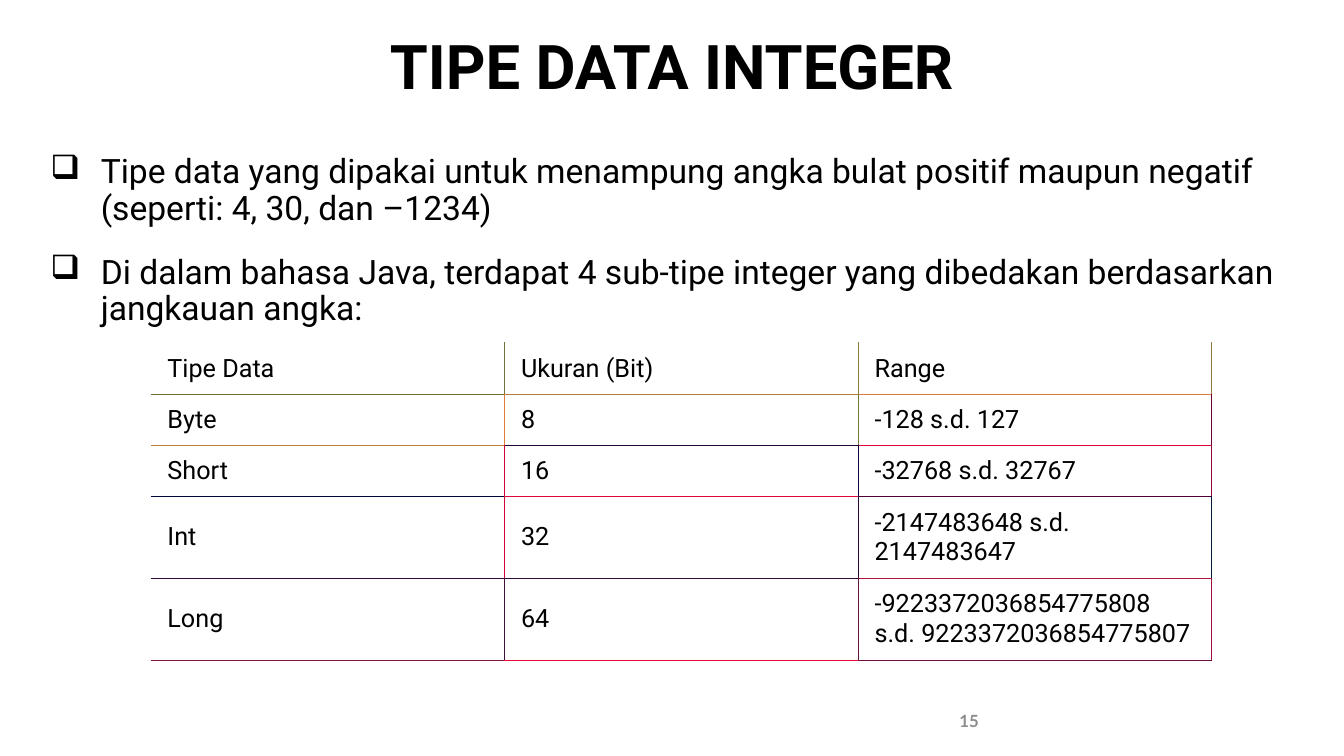
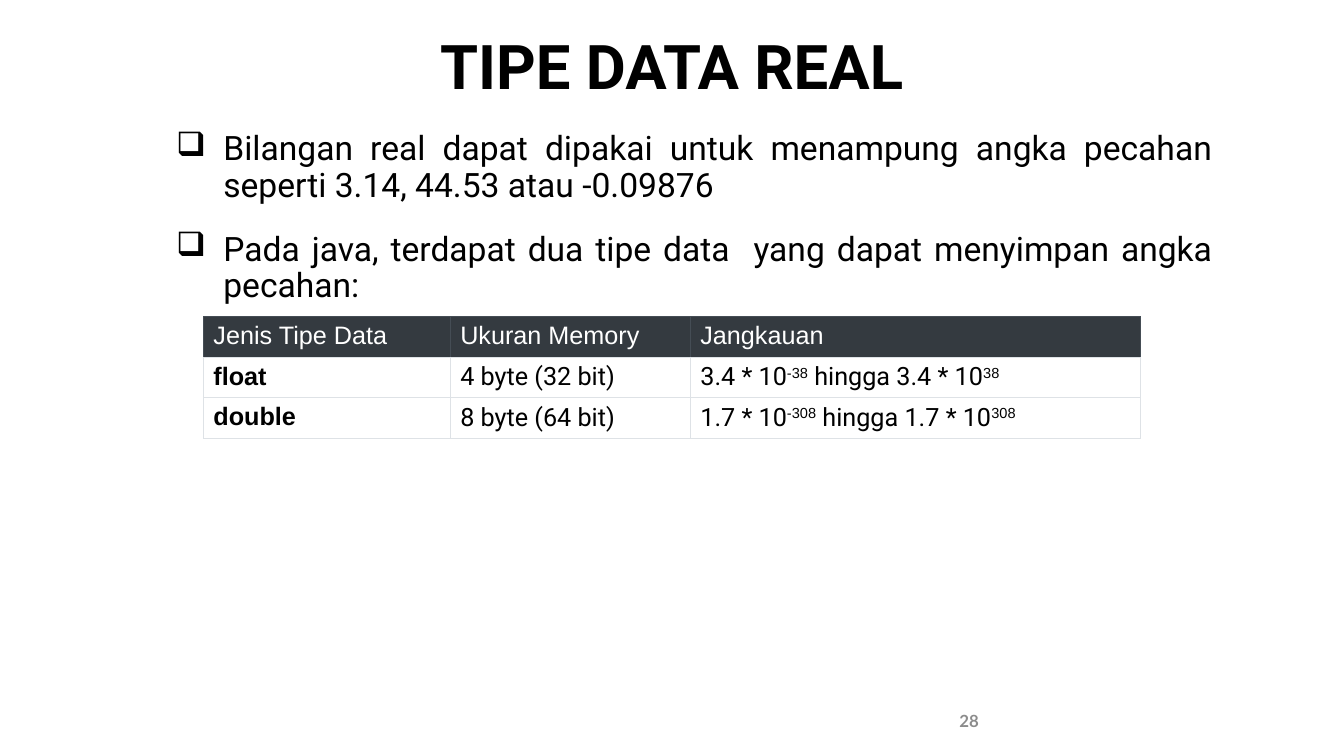
"""Build two slides on the integer and real data types of Java."""
import pptx
import pptx.util
import pptx.dml.color
import pptx.enum.text
import pptx.oxml.ns
import lxml.etree

Cm, Pt = pptx.util.Cm, pptx.util.Pt
RGB = pptx.dml.color.RGBColor.from_string
qn = pptx.oxml.ns.qn
ALIGN = pptx.enum.text.PP_ALIGN
MID = pptx.enum.text.MSO_ANCHOR.MIDDLE
TOP = pptx.enum.text.MSO_ANCHOR.TOP

DARK, LIGHT = "454D55", "DEE2E6"
THEME = {
    "paper": "FFFFFF",
    "band": "343A40",
    "title": ("000000", {"name": "Roboto", "size": Pt(44), "bold": True}),
    "text": ("000000", {"name": "Roboto", "size": Pt(24), "bold": False}),
    "cell": ("000000", {"name": "Roboto", "size": Pt(18), "bold": False}),
    "head": ("FFFFFF", {"name": "Arial", "size": Pt(18), "bold": False}),
    "lead": ("000000", {"name": "Arial", "size": Pt(18), "bold": True}),
    "power": ("000000", {"name": "Arial", "size": Pt(18), "bold": False}),
    "page": ("8C8C8C", {"name": "Lato", "size": Pt(12), "bold": True}),
}
LIST = {"line_spacing": 0.9, "space_before": Pt(20)}
TITLE = {"margin_left": Cm(0.13), "margin_right": Cm(0.13),
         "margin_top": Cm(0.05), "margin_bottom": Cm(0.05)}
ROOMY = {"margin_left": Cm(0.41), "margin_right": Cm(0.41),
         "margin_top": Cm(0.25), "margin_bottom": Cm(0.25),
         "vertical_anchor": MID}
TIGHT = {"margin_left": Cm(0.25), "margin_right": Cm(0.25),
         "margin_top": Cm(0.13), "margin_bottom": Cm(0.13),
         "vertical_anchor": TOP}

DECK = [
    {
        "title": "TIPE DATA INTEGER",
        "page": "15",
        "area": (1.02, 3.78, 32.33, 14.3),
        "indent": 1.27,
        "align": ALIGN.LEFT,
        "points": [
            "Tipe data yang dipakai untuk menampung angka bulat positif maupun negatif (seperti: 4, 30, dan –1234)",
            "Di dalam bahasa Java, terdapat 4 sub-tipe integer yang dibedakan berdasarkan jangkauan angka:",
        ],
        "spot": (3.81, 8.64),
        "cols": [8.91] * 3,
        "rows": [1.29] * 3 + [2.06] * 2,
        "pad": ROOMY,
        "looks": ("cell", "cell"),
        "band": "paper",
        "cells": [
            ["Tipe Data", "Ukuran (Bit)", "Range"],
            ["Byte", "8", "-128 s.d. 127"],
            ["Short", "16", "-32768 s.d. 32767"],
            ["Int", "32", "-2147483648 s.d. 2147483647"],
            ["Long", "64", "-9223372036854775808 s.d. 9223372036854775807"],
        ],
        "down": [
            [None, "70713A", "907E3A", "907B3A"],
            [None, "E07C3A", "707A3A", "70023A"],
            [None, "D0083A", "10023A", "90093A"],
            [None, "D0053A", "30093A", "00183A"],
            [None, "40113A", "60153A", "A0113A"],
        ],
        "across": [
            [None, None, None],
            ["706E3A", "B07C3A", "E07C3A"],
            ["C07E3A", "20043A", "E0013A"],
            ["00063A", "E0073A", "50013A"],
            ["30093A", "300C3A", "B0163A"],
            ["80163A", "F00C3A", "700E3A"],
        ],
    },
    {
        "title": "TIPE DATA REAL",
        "page": "28",
        "area": (4.19, 3.2, 26.62, 13.44),
        "indent": 1.19,
        "align": ALIGN.JUSTIFY,
        "points": [
            "Bilangan real dapat dipakai untuk menampung angka pecahan seperti 3.14, 44.53 atau -0.09876",
            "Pada java, terdapat dua tipe data  yang dapat menyimpan angka pecahan:",
        ],
        "spot": (5.13, 7.98),
        "cols": [6.22, 6.05, 11.35],
        "rows": [1.02] * 3,
        "pad": TIGHT,
        "looks": ("head", "lead"),
        "band": "band",
        "cells": [
            ["Jenis Tipe Data", "Ukuran Memory", "Jangkauan"],
            ["float", "4 byte (32 bit)", "3.4 * 10^-38^ hingga 3.4 * 10^38"],
            ["double", "8 byte (64 bit)", "1.7 * 10^-308^ hingga 1.7 * 10^308"],
        ],
        "down": [[DARK] * 4] + [[LIGHT] * 4] * 2,
        "across": [[DARK] * 3] + [[LIGHT] * 3] * 3,
    },
]


def put(item, vals):
    """Set each named value on the item."""
    for key, val in vals.items():
        setattr(item, key, val)


def say(par, text, look):
    """Write text in a look, raising each part between carets."""
    for num, part in enumerate(text.split("^")):
        ink, form = THEME["power" if num % 2 else look]
        run = par.add_run()
        run.text = part
        put(run.font, form)
        run.font.color.rgb = RGB(ink)
        if num % 2:
            run.font._element.set("baseline", "30000")


prs = pptx.Presentation()
put(prs, {"slide_width": Cm(33.87), "slide_height": Cm(19.05)})

for data in DECK:
    slide = prs.slides.add_slide(prs.slide_layouts[6])
    fill = slide.background.fill
    fill.solid()
    fill.fore_color.rgb = RGB(THEME["paper"])

    frame = slide.shapes.add_textbox(*map(Cm, data["area"])).text_frame
    frame.word_wrap = True
    for num, point in enumerate(data["points"]):
        par = frame.add_paragraph() if num else frame.paragraphs[0]
        put(par, {**LIST, "alignment": data["align"]})
        props = par._p.get_or_add_pPr()
        props.set("marL", str(Cm(data["indent"])))
        props.set("indent", str(-Cm(data["indent"])))
        lxml.etree.SubElement(props, qn("a:buChar")).set("char", "❑")
        say(par, point, "text")

    frame = slide.shapes.add_textbox(0, Cm(0.66), prs.slide_width, Cm(2.01)).text_frame
    put(frame, {**TITLE, "word_wrap": True})
    frame.paragraphs[0].alignment = ALIGN.CENTER
    say(frame.paragraphs[0], data["title"], "title")

    frame = slide.shapes.add_textbox(Cm(23.93), Cm(17.65), Cm(7.62), Cm(1.02)).text_frame
    put(frame, {"word_wrap": True, "vertical_anchor": MID})
    say(frame.paragraphs[0], data["page"], "page")

    cols, rows = data["cols"], data["rows"]
    left, top = data["spot"]
    table = slide.shapes.add_table(len(rows), len(cols), Cm(left), Cm(top),
                                   Cm(sum(cols)), Cm(sum(rows))).table
    put(table, {"first_row": False, "horz_banding": False})
    for col, wide in zip(table.columns, cols):
        col.width = Cm(wide)
    for row, high in zip(table.rows, rows):
        row.height = Cm(high)

    head, lead = data["looks"]
    down, across = data["down"], data["across"]
    for y, line in enumerate(data["cells"]):
        for x, text in enumerate(line):
            cell = table.cell(y, x)
            put(cell, data["pad"])
            edges = {"L": down[y][x], "R": down[y][x + 1],
                     "T": across[y][x], "B": across[y + 1][x]}
            props = cell._tc.get_or_add_tcPr()
            for side, hue in edges.items():
                if hue:
                    edge = lxml.etree.SubElement(props, qn("a:ln" + side))
                    edge.set("w", str(Pt(0.75)))
                    solid = lxml.etree.SubElement(edge, qn("a:solidFill"))
                    lxml.etree.SubElement(solid, qn("a:srgbClr")).set("val", hue)
            cell.fill.solid()
            cell.fill.fore_color.rgb = RGB(THEME["paper" if y else data["band"]])
            look = head if y == 0 else lead if x == 0 else "cell"
            say(cell.text_frame.paragraphs[0], text, look)

prs.save("out.pptx")
